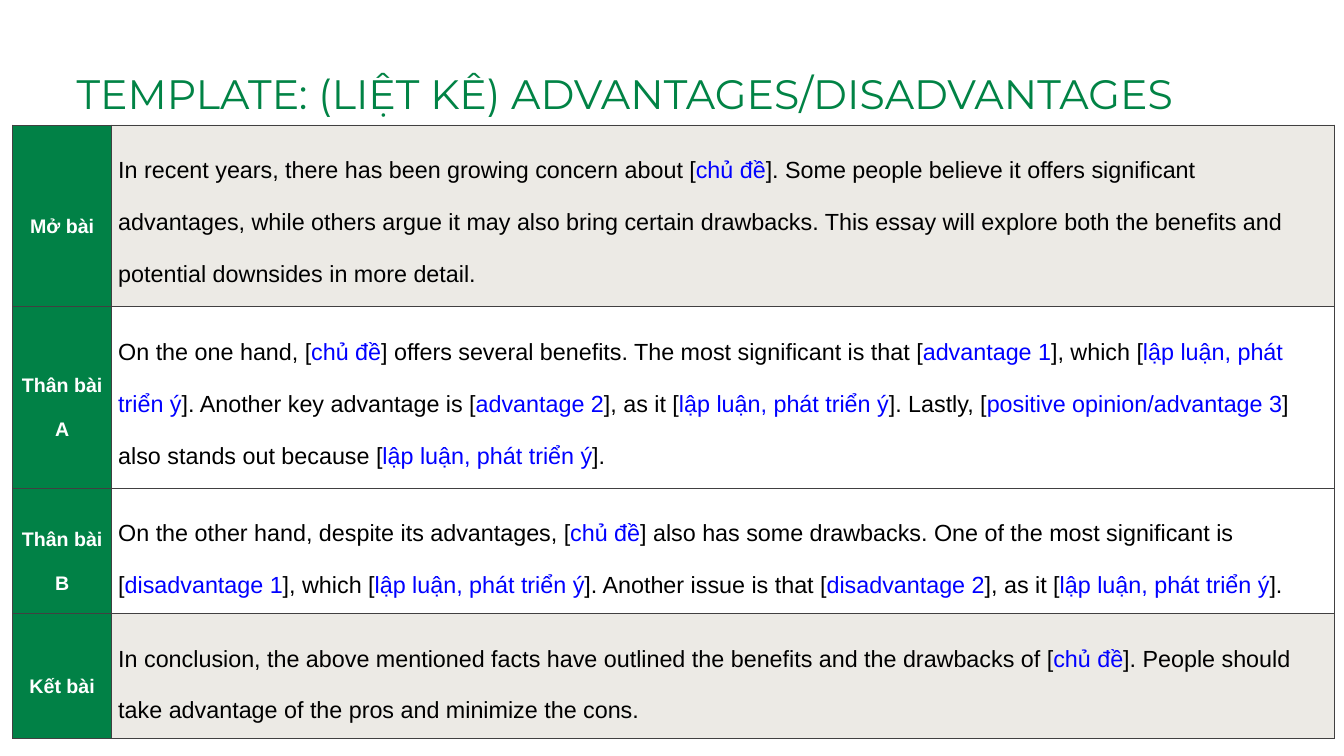
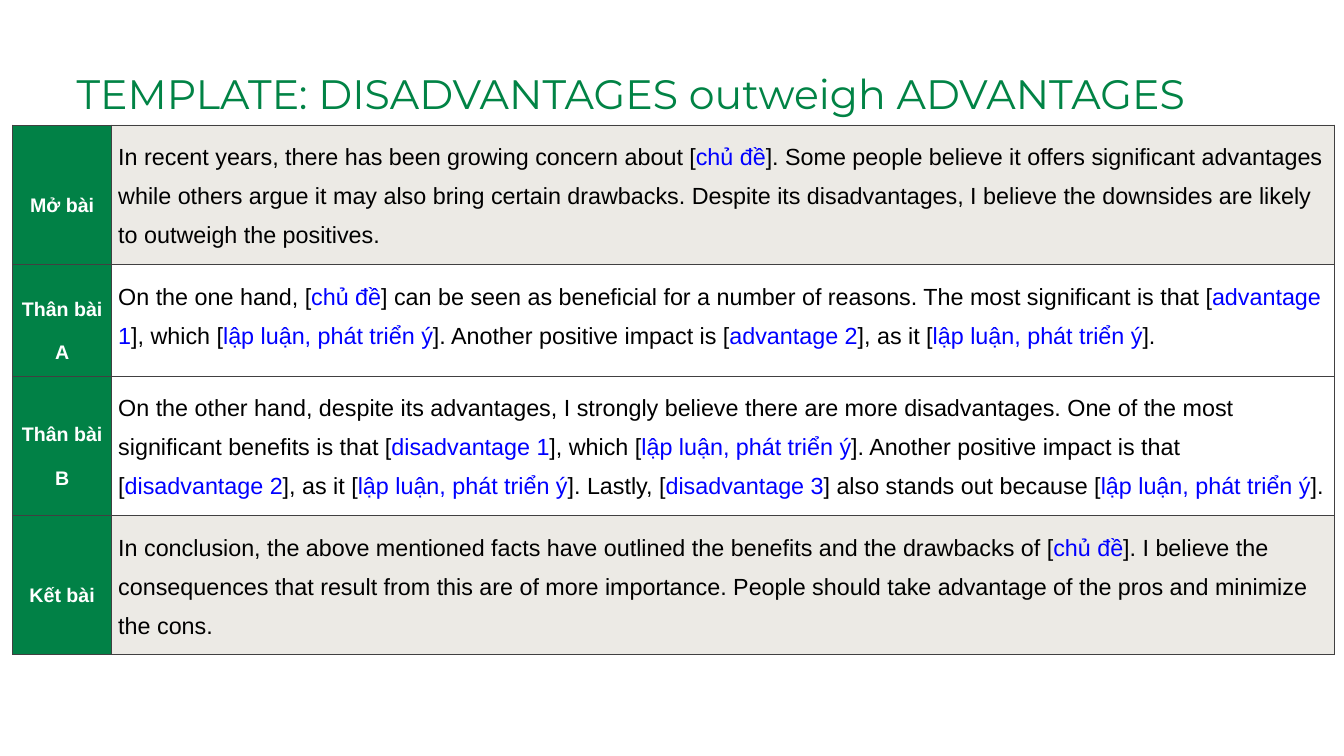
from lxml import etree
from pptx import Presentation
from pptx.dml.color import RGBColor
from pptx.enum import text
from pptx.oxml import ns
from pptx.util import Pt

TITLE_GREEN = RGBColor(0x01, 0x83, 0x45)
LABEL_GREEN = RGBColor(0x01, 0x81, 0x46)
SAND = RGBColor(0xE4, 0xE2, 0xDB)
GRID = RGBColor(0x41, 0x40, 0x41)
BLUE = RGBColor(0x00, 0x00, 0xFF)
BLACK = RGBColor(0x00, 0x00, 0x00)
WHITE = RGBColor(0xFF, 0xFF, 0xFF)

COLUMN_WIDTHS = (105.8, 1310.4)
ROW_HEIGHTS = (64.1, 119.5, 97.9, 94.3)
LABELS = ("Mở bài", "Thân bài\nA", "Thân bài\nB", "Kết bài")

ESSAYS = (
    ("TEMPLATE: (LIỆT KÊ) ADVANTAGES/DISADVANTAGES", 2.0, (
        "In recent years, there has been growing concern about [chủ đề]. Some people believe it "
        "offers significant advantages, while others argue it may also bring certain drawbacks. "
        "This essay will explore both the benefits and potential downsides in more detail.",
        "On the one hand, [chủ đề] offers several benefits. The most significant is that "
        "[advantage 1], which [lập luận, phát triển ý]. Another key advantage is [advantage 2], "
        "as it [lập luận, phát triển ý]. Lastly, [positive opinion/advantage 3] also stands out "
        "because [lập luận, phát triển ý].",
        "On the other hand, despite its advantages, [chủ đề] also has some drawbacks. One of the "
        "most significant is [disadvantage 1], which [lập luận, phát triển ý]. Another issue is "
        "that [disadvantage 2], as it [lập luận, phát triển ý].",
        "In conclusion, the above mentioned facts have outlined the benefits and the drawbacks of "
        "[chủ đề]. People should take advantage of the pros and minimize the cons.",
    )),
    ("TEMPLATE: DISADVANTAGES outweigh ADVANTAGES", 1.5, (
        "In recent years, there has been growing concern about [chủ đề]. Some people believe it "
        "offers significant advantages while others argue it may also bring certain drawbacks. "
        "Despite its disadvantages, I believe the downsides are likely to outweigh the positives.",
        "On the one hand, [chủ đề] can be seen as beneficial for a number of reasons. The most "
        "significant is that [advantage 1], which [lập luận, phát triển ý]. Another positive "
        "impact is [advantage 2], as it [lập luận, phát triển ý].",
        "On the other hand, despite its advantages, I strongly believe there are more "
        "disadvantages. One of the most significant benefits is that [disadvantage 1], which "
        "[lập luận, phát triển ý]. Another positive impact is that [disadvantage 2], as it "
        "[lập luận, phát triển ý]. Lastly, [disadvantage 3] also stands out because "
        "[lập luận, phát triển ý].",
        "In conclusion, the above mentioned facts have outlined the benefits and the drawbacks of "
        "[chủ đề]. I believe the consequences that result from this are of more importance. "
        "People should take advantage of the pros and minimize the cons.",
    )),
)


def split_slots(line):
    head, *rest = line.split("[")
    pieces = [(head, False)]
    for part in rest:
        slot, tail = part.split("]")
        pieces[-1] = (pieces[-1][0] + "[", False)
        pieces += [(slot, True), ("]" + tail, False)]
    return pieces


def write(frame, words, size, color, font="Arial", bold=False, align=None, spacing=1.0):
    for number, line in enumerate(words.split("\n")):
        para = frame.add_paragraph() if number else frame.paragraphs[0]
        para.alignment = align
        para.line_spacing = spacing
        for piece, is_slot in split_slots(line):
            span = para.add_run()
            span.text = piece
            span.font.name = font
            span.font.size = Pt(size)
            span.font.bold = bold
            span.font.color.rgb = BLUE if is_slot else color


class EssayDeck:
    def __init__(self):
        self.deck = Presentation()
        self.deck.slide_width, self.deck.slide_height = Pt(1440), Pt(810)
        self.page = None

    def add_page(self):
        self.page = self.deck.slides.add_slide(self.deck.slide_layouts[6])

    def add_title(self, words):
        box = self.page.shapes.add_textbox(Pt(82.1), Pt(40.3), Pt(1224), Pt(53.3))
        frame = box.text_frame
        frame.word_wrap = True
        frame.auto_size = text.MSO_AUTO_SIZE.SHAPE_TO_FIT_TEXT
        frame.margin_left = frame.margin_right = frame.margin_top = frame.margin_bottom = 0
        write(frame, words, size=44, color=TITLE_GREEN, font="Montserrat", spacing=1.62)

    def style_cell(self, cell, fill=None, alpha=None):
        cell.margin_left = cell.margin_right = cell.margin_top = cell.margin_bottom = Pt(7.2)
        if fill is None:
            cell.fill.background()
        else:
            cell.fill.solid()
            cell.fill.fore_color.rgb = fill
        properties = cell._tc.get_or_add_tcPr()
        if alpha:
            tint = properties.find(".//" + ns.qn("a:srgbClr"))
            etree.SubElement(tint, ns.qn("a:alpha"), val=str(alpha * 1000))
        for position, side in enumerate(("lnL", "lnR", "lnT", "lnB")):
            border = etree.Element(ns.qn("a:" + side), w=str(Pt(0.75)))
            paint = etree.SubElement(border, ns.qn("a:solidFill"))
            etree.SubElement(paint, ns.qn("a:srgbClr"), val=str(GRID))
            properties.insert(position, border)

    def add_outline(self, passages, spacing):
        table = self.page.shapes.add_table(
            len(LABELS), len(COLUMN_WIDTHS), Pt(13.7), Pt(133.9),
            Pt(sum(COLUMN_WIDTHS)), Pt(sum(ROW_HEIGHTS))).table
        table.first_row = table.horz_banding = False
        for column, width in zip(table.columns, COLUMN_WIDTHS):
            column.width = Pt(width)
        for number, (label, passage) in enumerate(zip(LABELS, passages)):
            table.rows[number].height = Pt(ROW_HEIGHTS[number])
            label_cell, passage_cell = table.cell(number, 0), table.cell(number, 1)
            self.style_cell(label_cell, LABEL_GREEN)
            label_cell.vertical_anchor = text.MSO_ANCHOR.MIDDLE
            write(label_cell.text_frame, label, size=21, color=WHITE, bold=True,
                  align=text.PP_ALIGN.CENTER, spacing=2.0)
            if number in (0, len(LABELS) - 1):
                self.style_cell(passage_cell, SAND, alpha=70)
            else:
                self.style_cell(passage_cell)
            write(passage_cell.text_frame, passage, size=25, color=BLACK, spacing=spacing)


def main():
    essays = EssayDeck()
    for title, spacing, passages in ESSAYS:
        essays.add_page()
        essays.add_title(title)
        essays.add_outline(passages, spacing)
    essays.deck.save("out.pptx")


if __name__ == "__main__":
    main()
